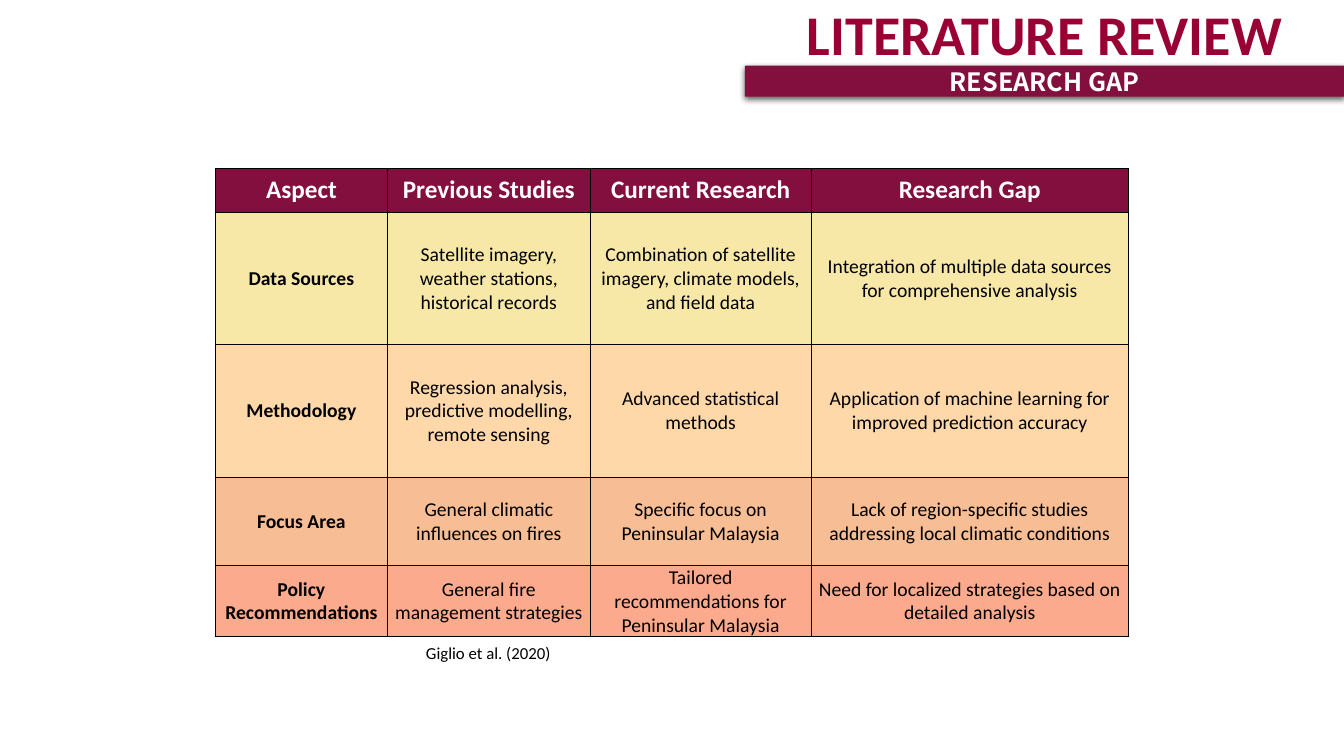
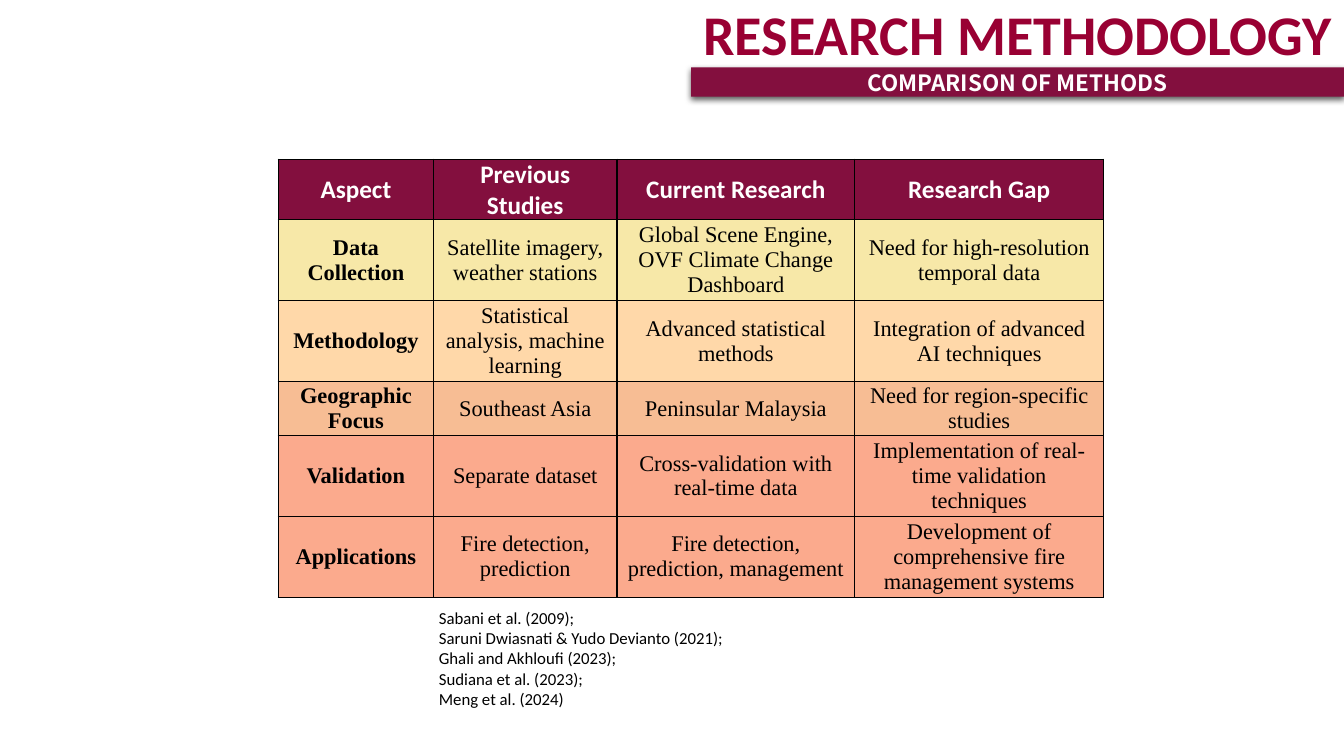
from lxml.etree import SubElement
from pptx import Presentation
from pptx.dml.color import RGBColor
from pptx.enum.shapes import MSO_SHAPE as Preset
from pptx.enum.text import MSO_ANCHOR as Anchor, MSO_AUTO_SIZE as AutoSize, PP_ALIGN as Align
from pptx.oxml.ns import qn
from pptx.util import Pt

SLIDE_WIDTH, SLIDE_HEIGHT = 960, 540
BAND_BOTTOM = 69.1
CRIMSON, MAROON, WHITE, BLACK = "990033", "830F3E", "FFFFFF", "000000"
YELLOW, AMBER, ORANGE, CORAL = ("F2D96E", 60), ("FFBE71", 60), ("F2914D", 60), ("FA7B4D", 64)
HEADINGS = ("Aspect", "Previous Studies", "Current Research", "Research Gap")


def colour(hex_code):
    return RGBColor.from_string(hex_code)


def add_colour(parent, hex_code, alpha=None):
    tone = SubElement(parent, qn("a:srgbClr"), val=hex_code)
    if alpha is not None:
        SubElement(tone, qn("a:alpha"), val=str(alpha * 1000))


def write(frame, text, size=12, font="Calibri", ink=BLACK, bold=False,
          align=Align.LEFT, anchor=Anchor.TOP, after=0):
    frame.word_wrap = True
    frame.vertical_anchor = anchor
    for index, line in enumerate(text.split("\n")):
        paragraph = frame.add_paragraph() if index else frame.paragraphs[0]
        paragraph.alignment = align
        paragraph.space_after = Pt(after)
        run = paragraph.add_run()
        run.text = line
        run.font.size, run.font.name, run.font.bold = Pt(size), font, bold
        run.font.color.rgb = colour(ink)


class Deck:
    """Hold the shared style and the slide being built."""

    def __init__(self):
        self.show = Presentation()
        self.show.slide_width, self.show.slide_height = Pt(SLIDE_WIDTH), Pt(SLIDE_HEIGHT)
        self.slide = None

    def add_slide(self):
        self.slide = self.show.slides.add_slide(self.show.slide_layouts[6])

    def text(self, content, left, top, width, height, inset=None, **style):
        frame = self.slide.shapes.add_textbox(Pt(left), Pt(top), Pt(width), Pt(height)).text_frame
        if inset is not None:
            frame.margin_left = frame.margin_right = Pt(inset)
            frame.margin_top = frame.margin_bottom = Pt(inset)
        write(frame, content, **style)
        frame.auto_size = AutoSize.SHAPE_TO_FIT_TEXT

    def heading(self, title, subtitle, left, band_top, subtitle_size):
        width = SLIDE_WIDTH - left
        self.text(title, left, 0, width, 48.5, inset=0, size=40, ink=CRIMSON,
                  bold=True, align=Align.CENTER)
        band = self.slide.shapes.add_shape(Preset.RECTANGLE, Pt(left), Pt(band_top),
                                           Pt(width), Pt(BAND_BOTTOM - band_top))
        band.fill.solid()
        band.fill.fore_color.rgb = colour(MAROON)
        band.line.fill.background()
        band.shadow.inherit = False
        effects = band._element.spPr.find(qn("a:effectLst"))
        shadow = SubElement(effects, qn("a:outerShdw"), blurRad=str(Pt(4.5)),
                            dist=str(Pt(1.5)), dir="5400000", algn="t", rotWithShape="0")
        add_colour(shadow, BLACK, 63)
        write(band.text_frame, subtitle, size=subtitle_size, font="Noto Sans CJK SC",
              ink=WHITE, bold=True, align=Align.CENTER, anchor=Anchor.MIDDLE)

    def cell(self, cell, content, tone, alpha=None, **style):
        cell.margin_left = cell.margin_right = Pt(4.9)
        cell.margin_top = cell.margin_bottom = Pt(0)
        cell.vertical_anchor = Anchor.MIDDLE
        write(cell.text_frame, content, align=Align.CENTER, anchor=Anchor.MIDDLE, **style)
        properties = cell._tc.get_or_add_tcPr()
        for side in ("lnL", "lnR", "lnT", "lnB"):
            border = SubElement(properties, qn(f"a:{side}"), w=str(Pt(1)))
            add_colour(SubElement(border, qn("a:solidFill")), BLACK)
        add_colour(SubElement(properties, qn("a:solidFill")), tone, alpha)

    def comparison(self, left, top, widths, heights, aspects, **body_style):
        table = self.slide.shapes.add_table(len(heights), len(widths), Pt(left), Pt(top),
                                            Pt(sum(widths)), Pt(sum(heights))).table
        table.horz_banding = False
        for column, width in zip(table.columns, widths):
            column.width = Pt(width)
        for row, height in zip(table.rows, heights):
            row.height = Pt(height)
        for column, label in enumerate(HEADINGS):
            self.cell(table.cell(0, column), label, MAROON, size=18, ink=WHITE, bold=True)
        for row, (shade, *entries) in enumerate(aspects, start=1):
            for column, entry in enumerate(entries):
                self.cell(table.cell(row, column), entry, *shade, bold=column == 0, **body_style)


def research_gap(deck):
    deck.add_slide()
    deck.heading("LITERATURE REVIEW", "RESEARCH GAP", 532, 46.8, 18)
    deck.comparison(153.8, 120.2, (123, 144.8, 157.8, 226.7), (31.5, 94.7, 94.7, 63.1, 50.8), (
        (YELLOW, "Data Sources", "Satellite imagery, weather stations, historical records",
         "Combination of satellite imagery, climate models, and field data",
         "Integration of multiple data sources for comprehensive analysis"),
        (AMBER, "Methodology", "Regression analysis, predictive modelling, remote sensing",
         "Advanced statistical methods",
         "Application of machine learning for improved prediction accuracy"),
        (ORANGE, "Focus Area", "General climatic influences on fires",
         "Specific focus on Peninsular Malaysia",
         "Lack of region-specific studies addressing local climatic conditions"),
        (CORAL, "Policy Recommendations", "General fire management strategies",
         "Tailored recommendations for Peninsular Malaysia",
         "Need for localized strategies based on detailed analysis"),
    ), size=14)
    deck.text("Giglio et al. (2020)", 297.2, 455.2, 162.7, 21.8)


def comparison_of_methods(deck):
    deck.add_slide()
    deck.comparison(198.8, 113.8, (110.9, 131, 169.9, 177.8),
                    (42.8, 57.8, 57.8, 37.9, 57.8, 57.8), (
        (YELLOW, "Data Collection", "Satellite imagery, weather stations",
         "Global Scene Engine, OVF Climate Change Dashboard",
         "Need for high-resolution temporal data"),
        (AMBER, "Methodology", "Statistical analysis, machine learning",
         "Advanced statistical methods", "Integration of advanced AI techniques"),
        (ORANGE, "Geographic Focus", "Southeast Asia", "Peninsular Malaysia",
         "Need for region-specific studies"),
        (CORAL, "Validation", "Separate dataset", "Cross-validation with real-time data",
         "Implementation of real-time validation techniques"),
        (CORAL, "Applications", "Fire detection, prediction",
         "Fire detection, prediction, management",
         "Development of comprehensive fire management systems"),
    ), size=16, font="Times New Roman", after=8)
    deck.heading("RESEARCH METHODOLOGY", "COMPARISON OF METHODS", 493.7, 48.2, 16)
    deck.text("Sabani et al. (2009);\nSaruni Dwiasnati & Yudo Devianto (2021);\n"
              "Ghali and Akhloufi (2023);\nSudiana et al. (2023);\nMeng et al. (2024)",
              306.4, 430.6, 236.2, 80)


def main():
    deck = Deck()
    research_gap(deck)
    comparison_of_methods(deck)
    deck.show.save("out.pptx")


if __name__ == "__main__":
    main()
